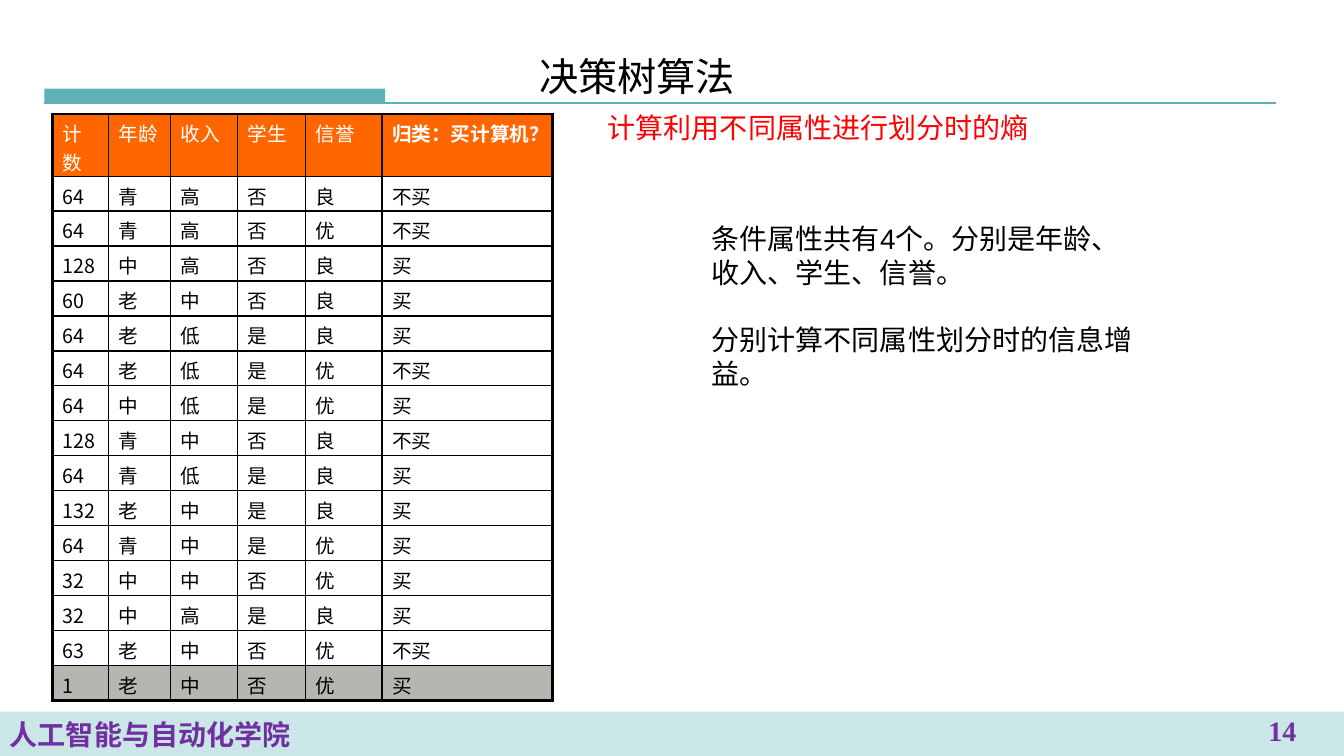
from dataclasses import dataclass

from lxml import etree
from pptx import Presentation
from pptx.dml.color import RGBColor
from pptx.enum.shapes import MSO_CONNECTOR, MSO_SHAPE
from pptx.enum.text import MSO_ANCHOR, PP_ALIGN
from pptx.oxml.ns import qn
from pptx.util import Inches, Pt

RECTANGLE = MSO_SHAPE.RECTANGLE
STRAIGHT = MSO_CONNECTOR.STRAIGHT
LEFT, CENTER = PP_ALIGN.LEFT, PP_ALIGN.CENTER
TOP, MIDDLE = MSO_ANCHOR.TOP, MSO_ANCHOR.MIDDLE

TEAL = RGBColor(0x5E, 0xB2, 0xB6)
PURPLE = RGBColor(0x70, 0x30, 0xA0)
ORANGE = RGBColor(0xFF, 0x66, 0x00)
GRAY = RGBColor(0xB4, 0xB6, 0xB0)
RED = RGBColor(0xFF, 0x00, 0x00)
BLACK = RGBColor(0x00, 0x00, 0x00)
WHITE = RGBColor(0xFF, 0xFF, 0xFF)

TABLE_FONT = "Noto Sans CJK JP"
THIN, THICK = 1, 2.25
COLUMN_WIDTHS = (0.56, 0.61, 0.67, 0.67, 0.76, 1.69)
HEADER_HEIGHT, ROW_HEIGHT = 0.56, 0.347
HEADERS = ("计数", "年龄", "收入", "学生", "信誉", "归类：买计算机？")
RECORDS = (
    "64 青 高 否 良 不买",
    "64 青 高 否 优 不买",
    "128 中 高 否 良 买",
    "60 老 中 否 良 买",
    "64 老 低 是 良 买",
    "64 老 低 是 优 不买",
    "64 中 低 是 优 买",
    "128 青 中 否 良 不买",
    "64 青 低 是 良 买",
    "132 老 中 是 良 买",
    "64 青 中 是 优 买",
    "32 中 中 否 优 买",
    "32 中 高 是 良 买",
    "63 老 中 否 优 不买",
    "1 老 中 否 优 买",
)


@dataclass
class Style:
    size: float
    color: RGBColor
    font: str = "Arial"
    bold: bool = False


@dataclass
class Label:
    box: tuple[float, float, float, float]
    lines: tuple[str, ...]
    style: Style
    align: PP_ALIGN = LEFT
    wrap: bool = True
    gap_line: int = -1  # index of the line that has a line of space above it


LABELS = (
    Label((5.93, 1.05, 5.38, 0.44), ("计算利用不同属性进行划分时的熵",), Style(20, RED)),
    Label((6.96, 2.15, 4.45, 2.12),
          ("条件属性共有4个。分别是年龄、", "收入、学生、信誉。",
           "分别计算不同属性划分时的信息增益。"), Style(20, BLACK), gap_line=2),
    Label((5.25, 0.47, 2.15, 0.57), ("决策树算法",), Style(28, BLACK), wrap=False),
    Label((12.11, 7.03, 1.22, 0.39), ("14",),
          Style(20, PURPLE, "Times New Roman", True), CENTER),
)


def add_run(paragraph, text: str, style: Style) -> None:
    run = paragraph.add_run()
    run.text = text
    run.font.size = Pt(style.size)
    run.font.bold = style.bold
    run.font.name = style.font
    run.font.color.rgb = style.color
    if style.font == TABLE_FONT:
        east_asian = etree.SubElement(run._r.get_or_add_rPr(), qn("a:ea"))
        east_asian.set("typeface", style.font)


def add_bar(slide, box: tuple[float, float, float, float]):
    shape = slide.shapes.add_shape(RECTANGLE, *map(Inches, box))
    shape.shadow.inherit = False
    shape.fill.solid()
    shape.fill.fore_color.rgb = TEAL
    shape.line.fill.background()
    return shape


def add_label(slide, label: Label) -> None:
    shape = slide.shapes.add_textbox(*map(Inches, label.box))
    frame = shape.text_frame
    frame.word_wrap = label.wrap
    for index, line in enumerate(label.lines):
        paragraph = frame.add_paragraph() if index else frame.paragraphs[0]
        paragraph.alignment = label.align
        if index == label.gap_line:
            paragraph.space_before = Pt(24)
        add_run(paragraph, line, label.style)


def set_borders(cell, widths: dict[str, float]) -> None:
    properties = cell._tc.get_or_add_tcPr()
    for position, (side, width) in enumerate(widths.items()):
        line = etree.Element(qn(f"a:{side}"), w=str(Pt(width)))
        fill = etree.SubElement(line, qn("a:solidFill"))
        etree.SubElement(fill, qn("a:srgbClr"), val=str(BLACK))
        properties.insert(position, line)


def add_records_table(slide) -> None:
    rows = [HEADERS] + [record.split() for record in RECORDS]
    last_row, last_column = len(rows) - 1, len(HEADERS) - 1
    height = HEADER_HEIGHT + ROW_HEIGHT * last_row
    table = slide.shapes.add_table(
        len(rows), len(HEADERS), Inches(0.52), Inches(1.13),
        Inches(sum(COLUMN_WIDTHS)), Inches(height)).table
    for column, width in zip(table.columns, COLUMN_WIDTHS):
        column.width = Inches(width)
    for r, texts in enumerate(rows):
        table.rows[r].height = Inches(ROW_HEIGHT if r else HEADER_HEIGHT)
        for c, text in enumerate(texts):
            cell = table.cell(r, c)
            cell.vertical_anchor = TOP
            cell.margin_top, cell.margin_bottom = Inches(0.05), 0
            if r in (0, last_row):
                cell.fill.solid()
                cell.fill.fore_color.rgb = GRAY if r else ORANGE
            else:
                cell.fill.background()
            style = Style(14, BLACK if r else WHITE, TABLE_FONT,
                          r == 0 and c == last_column)
            add_run(cell.text_frame.paragraphs[0], text, style)
            set_borders(cell, {
                "lnL": THIN if c else THICK,
                "lnR": THICK if c == last_column else THIN,
                "lnT": THIN if r else THICK,
                "lnB": THICK if r == last_row else THIN,
            })


def main() -> None:
    presentation = Presentation()
    presentation.slide_width = Inches(13.33)
    presentation.slide_height = Inches(7.5)
    slide = presentation.slides.add_slide(presentation.slide_layouts[6])

    # Title rule
    add_bar(slide, (0.44, 0.88, 3.38, 0.14))
    rule = slide.shapes.add_connector(
        STRAIGHT, Inches(0.44), Inches(1.02), Inches(12.66), Inches(1.02))
    rule.line.color.rgb = TEAL
    rule.line.width = Pt(1.5)
    etree.SubElement(rule._element.spPr, qn("a:effectLst"))

    # Footer band
    footer = add_bar(slide, (0, 7.06, 13.33, 0.44))
    color = footer.fill._xPr.find(f"{qn('a:solidFill')}/{qn('a:srgbClr')}")
    etree.SubElement(color, qn("a:alpha"), val="32000")
    footer.text_frame.vertical_anchor = MIDDLE
    paragraph = footer.text_frame.paragraphs[0]
    paragraph.alignment = LEFT
    add_run(paragraph, "人工智能与自动化学院", Style(20, PURPLE, bold=True))

    # Records and text
    add_records_table(slide)
    for label in LABELS:
        add_label(slide, label)

    presentation.save("out.pptx")


if __name__ == "__main__":
    main()
